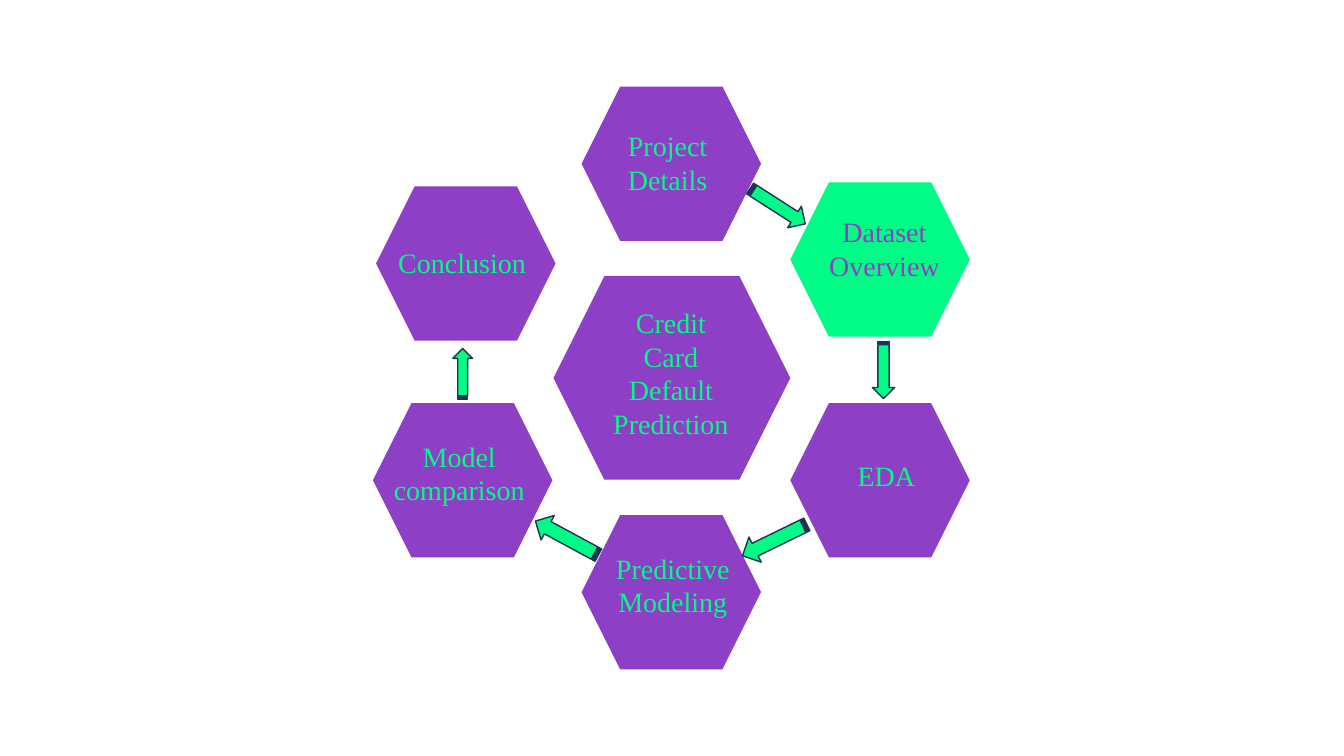
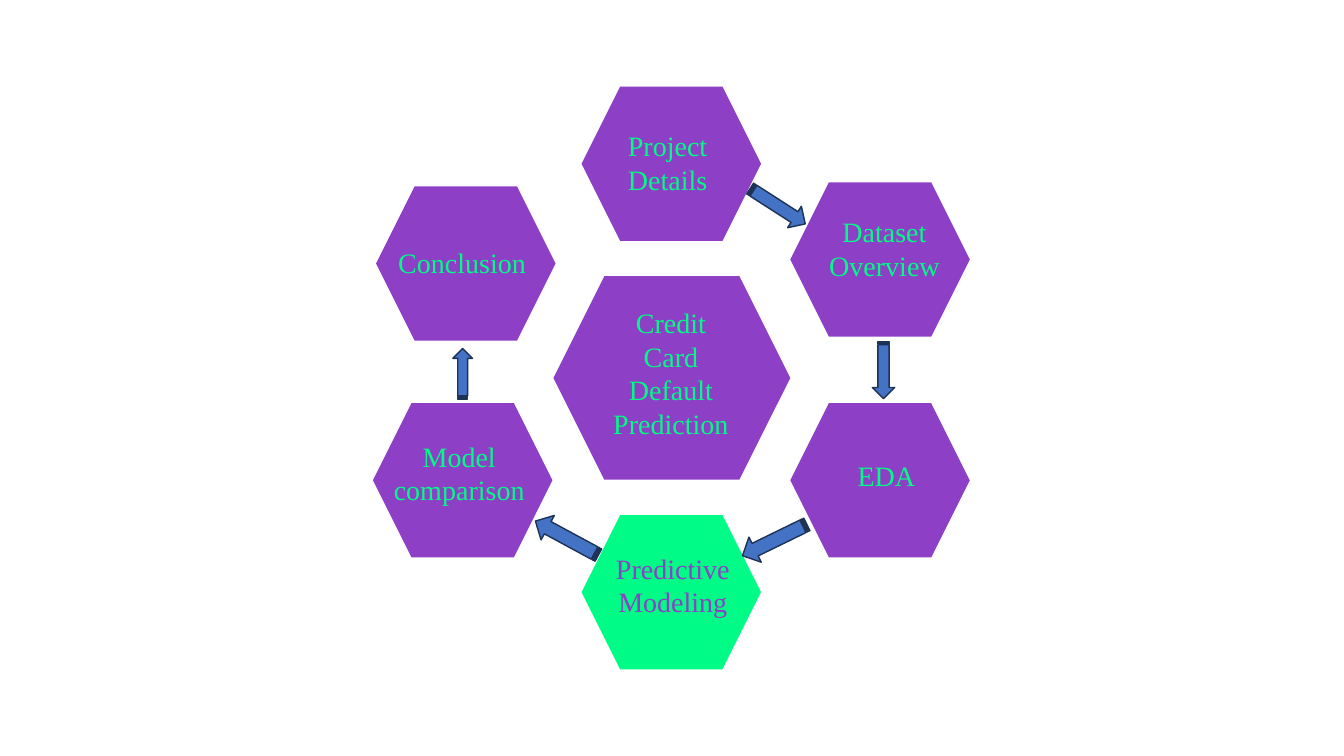
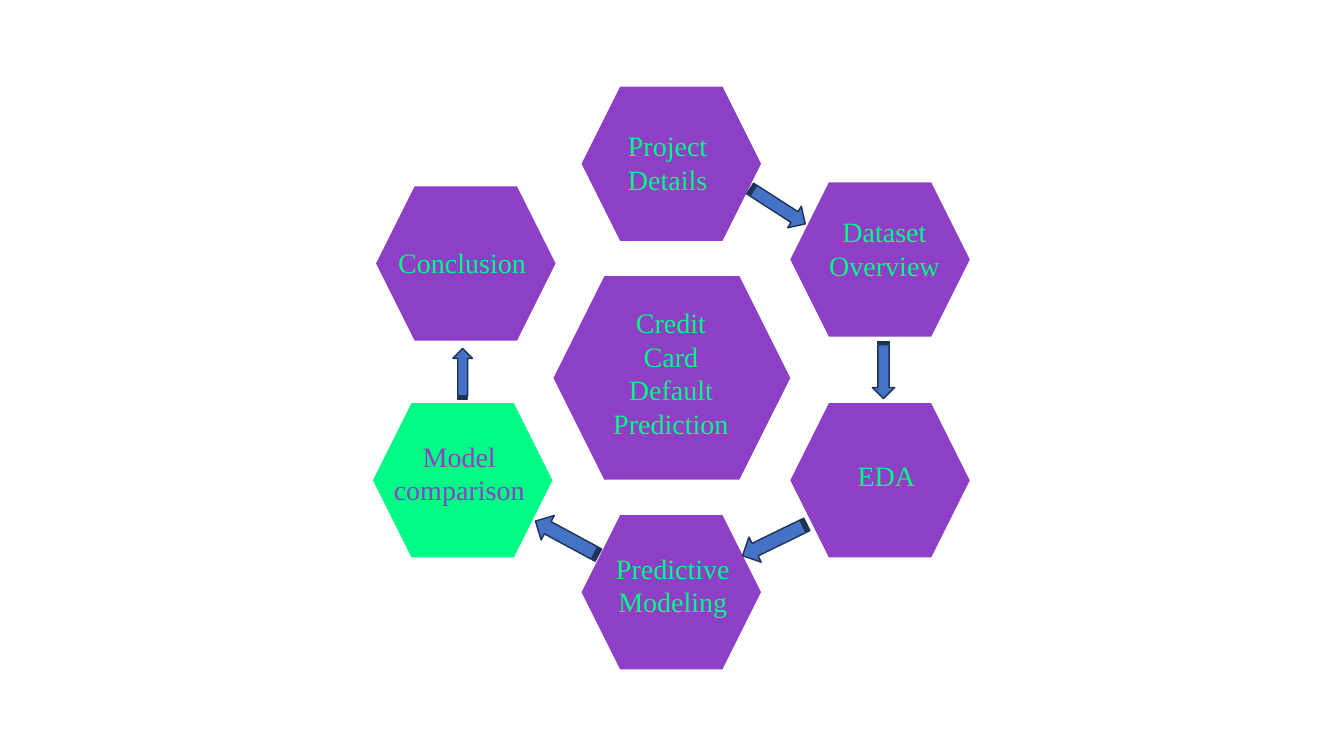
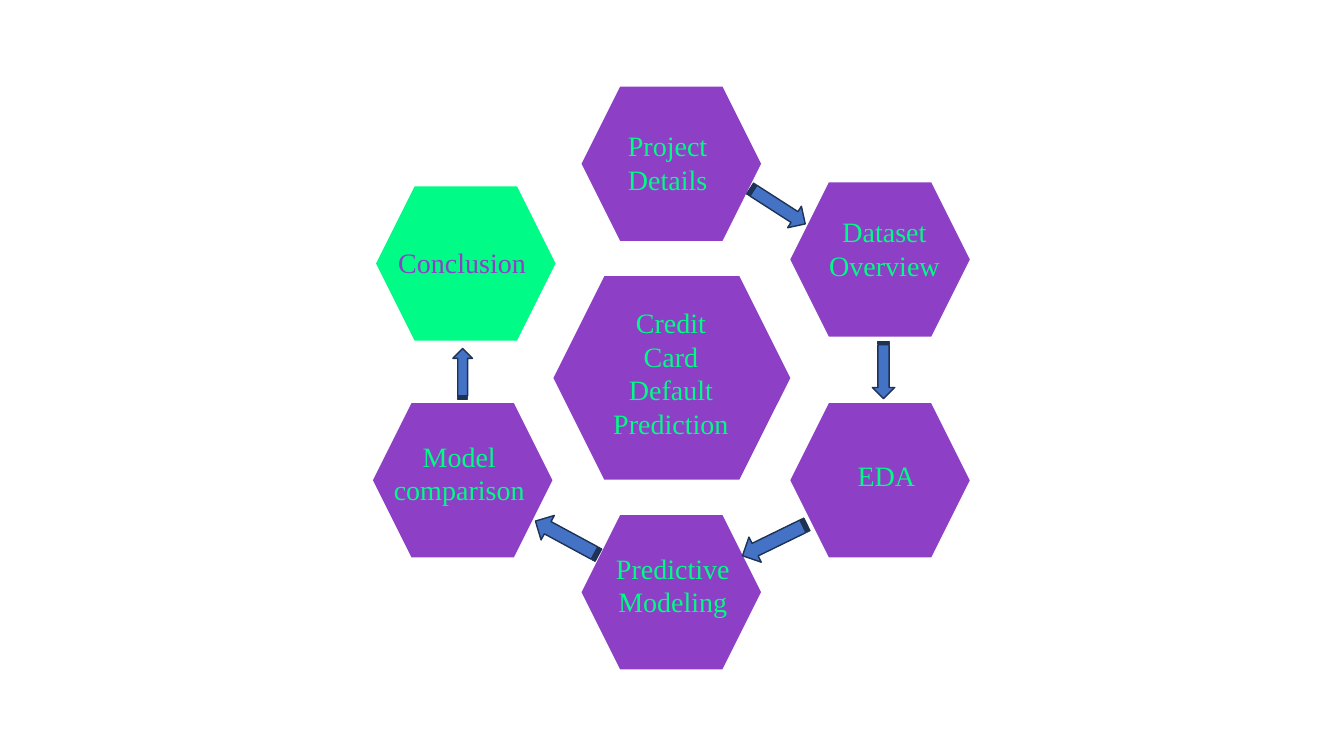
"""Build four agenda slides that highlight successive steps of a credit card default project."""
from pptx import Presentation
from pptx.dml.color import RGBColor
from pptx.enum import shapes, text
from pptx.util import Pt

PURPLE = RGBColor(0x8D, 0x40, 0xC5)
GREEN = RGBColor(0x00, 0xFC, 0x86)
BLUE = RGBColor(0x44, 0x72, 0xC4)
NAVY = RGBColor(0x1E, 0x32, 0x56)
FONT = "Times New Roman"

STEP_SIZE = (128.2, 110.2)
TOPIC_SIZE = (169.2, 145.4)
ARROW_RATIO = 0.39
LINE_HEIGHT = 24
TEXT_PADDING = 7.4
LEFT, CENTER = text.PP_ALIGN.LEFT, text.PP_ALIGN.CENTER

# name: hexagon corner, hexagon size, label corner, label width, label lines, alignment
FIELDS = ("corner", "size", "label_at", "label_width", "lines", "align")
ITEMS = {
    "topic": ((395.3, 197.3), TOPIC_SIZE, (416.2, 214.6), 126,
              ["Credit", "Card", "Default", "Prediction"], CENTER),
    "conclusion": ((268.6, 133.2), STEP_SIZE, (270.7, 172.1), 118.8, ["Conclusion"], CENTER),
    "comparison": ((266.4, 288), STEP_SIZE, (261.4, 310.3), 133.2, ["Model", "comparison"], CENTER),
    "details": ((415.4, 61.9), STEP_SIZE, (441.4, 88.6), 77.8, ["Project Details"], LEFT),
    "modeling": ((415.4, 367.9), STEP_SIZE, (421.2, 390.2), 118.8, ["Predictive", "Modeling"], CENTER),
    "dataset": ((564.5, 130.3), STEP_SIZE, (572.4, 149.8), 118.8, ["Dataset", "Overview"], CENTER),
    "eda": ((564.5, 288), STEP_SIZE, (573.8, 324), 118.8, ["EDA"], CENTER),
}
ARROWS = [
    ((379.4, 374.4), 51.1, 208.4),
    ((527.8, 375.8), 51.1, 154),
    ((610.6, 256.3), 41, 90),
    ((532.1, 138.2), 46.8, 32.7),
    ((312.5, 259.9), 36, 270),
]
SLIDES = [("dataset", GREEN), ("modeling", BLUE), ("comparison", BLUE), ("conclusion", BLUE)]


def add_filled(slide, preset, corner, size, fill):
    figure = slide.shapes.add_shape(preset, *map(Pt, corner + size))
    figure.shadow.inherit = False
    figure.fill.solid()
    figure.fill.fore_color.rgb = fill
    figure.line.fill.background()
    return figure


def add_arrow(slide, corner, length, rotation, fill):
    arrow = add_filled(slide, shapes.MSO_SHAPE.STRIPED_RIGHT_ARROW, corner,
                       (length, length * ARROW_RATIO), fill)
    arrow.rotation = rotation
    arrow.line.color.rgb = NAVY
    arrow.line.width = Pt(1)


def add_label(slide, lines, corner, width, color=GREEN, align=CENTER, size=20):
    rows = max(len(lines), len(" ".join(lines).split()))
    height = rows * LINE_HEIGHT + TEXT_PADDING
    frame = slide.shapes.add_textbox(*map(Pt, corner + (width, height))).text_frame
    frame.word_wrap = True
    frame.auto_size = text.MSO_AUTO_SIZE.SHAPE_TO_FIT_TEXT
    frame.text = "\n".join(lines)
    for paragraph in frame.paragraphs:
        paragraph.alignment = align
        for run in paragraph.runs:
            run.font.name = FONT
            run.font.size = Pt(size)
            run.font.color.rgb = color


def add_agenda(deck, current, arrow_color):
    slide = deck.slides.add_slide(deck.slide_layouts[6])
    items = {name: dict(zip(FIELDS, values)) for name, values in ITEMS.items()}
    for name, item in items.items():
        add_filled(slide, shapes.MSO_SHAPE.HEXAGON, item["corner"], item["size"],
                   GREEN if name == current else PURPLE)
    for corner, length, rotation in ARROWS:
        add_arrow(slide, corner, length, rotation, arrow_color)
    for name, item in items.items():
        add_label(slide, item["lines"], item["label_at"], item["label_width"],
                  color=PURPLE if name == current else GREEN, align=item["align"])


def main():
    deck = Presentation()
    deck.slide_width, deck.slide_height = Pt(960), Pt(540)
    for current, arrow_color in SLIDES:
        add_agenda(deck, current, arrow_color)
    deck.save("out.pptx")


if __name__ == "__main__":
    main()
